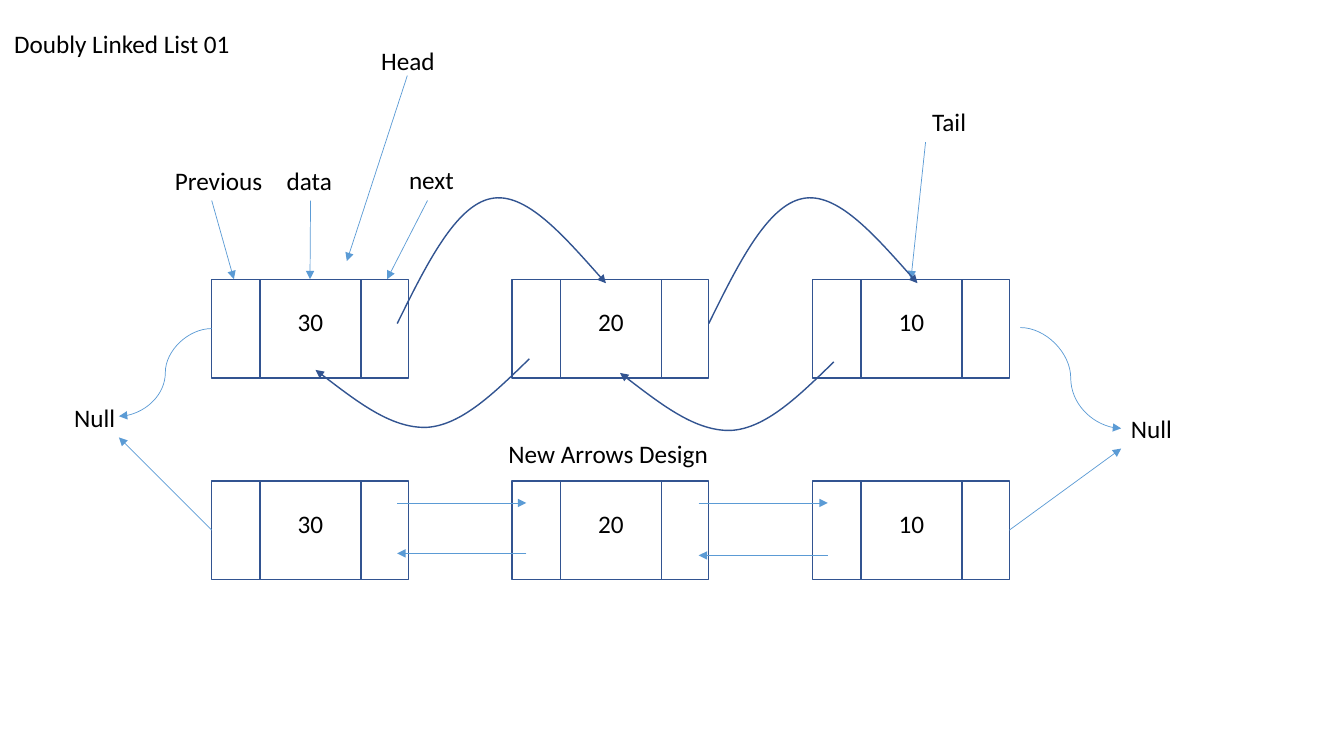
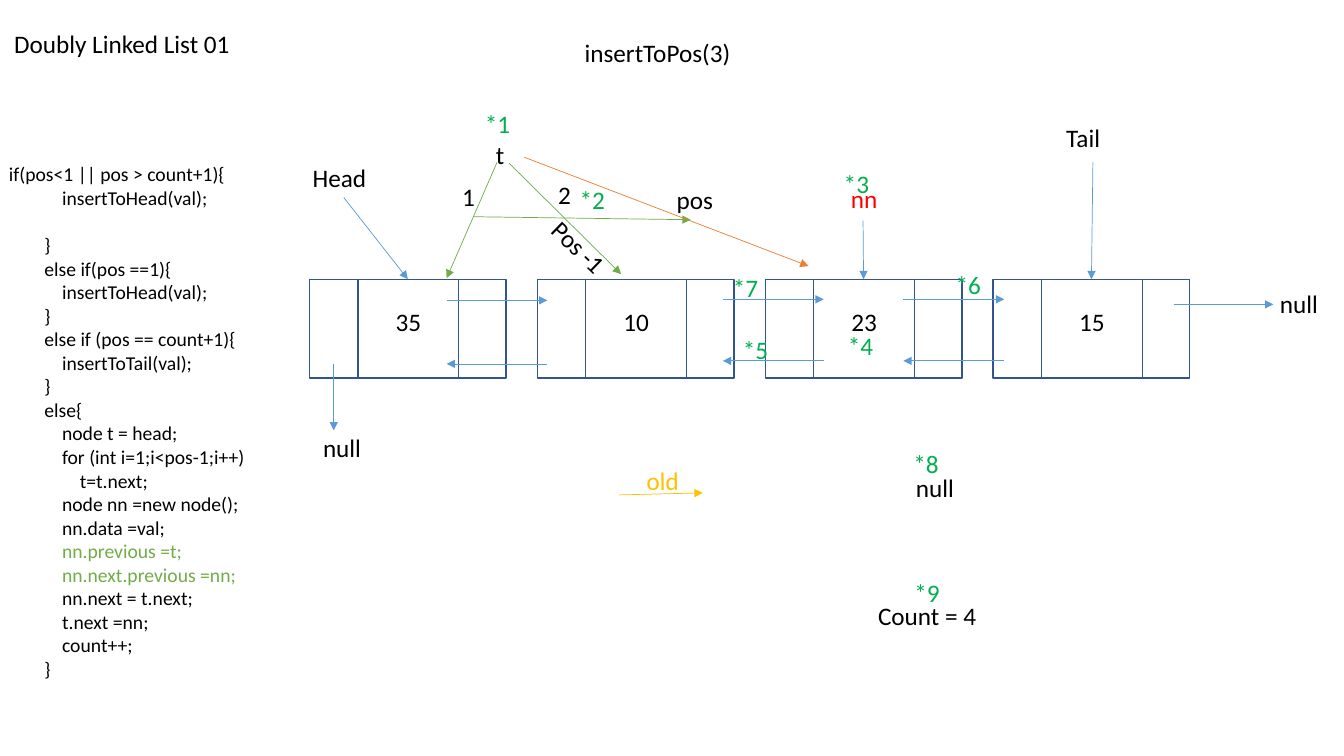
"""Build two slides that explain a doubly linked list."""
from lxml import etree
from pptx import Presentation
from pptx.dml.color import RGBColor
from pptx.enum.shapes import MSO_CONNECTOR, MSO_SHAPE
from pptx.enum.text import MSO_ANCHOR, MSO_AUTO_SIZE, PP_ALIGN
from pptx.oxml.ns import qn
from pptx.util import Inches, Pt

LINE, CURVE, RECT = MSO_CONNECTOR.STRAIGHT, MSO_CONNECTOR.CURVE, MSO_SHAPE.RECTANGLE
LEFT, MID, RIGHT = PP_ALIGN.LEFT, PP_ALIGN.CENTER, PP_ALIGN.RIGHT
TOP_SIDE, LEFT_SIDE, LOW_SIDE, RIGHT_SIDE = range(4)

FONT = "Calibri"
BLACK, NAVY, BLUE, GREEN = "000000", "325491", "5B9BD5", "70AD47"
MARK, RED, GOLD, ORANGE = "00B050", "FF0000", "FFC000", "ED7D31"
TITLE, TITLE_AT = "Doubly Linked List 01", (0.04, 0.23, 2.68, 0.4)
NODE_W, NODE_H, DATA_X, DATA_W = 1.95, 0.98, 0.48, 1
LABEL_H, CODE_SIZE, CODE_GAP = 0.4, 14, 17

NEXT_ARC = [(0, 0), (0.29, -0.59), (0.58, -1.17), (0.93, -1.24),
            (1.27, -1.31), (1.67, -0.85), (2.07, -0.4)]
PREV_ARC = [(0, 0), (-0.34, 0.33), (-0.67, 0.66), (-1.02, 0.68),
            (-1.37, 0.69), (-1.74, 0.4), (-2.12, 0.11)]

DESIGN = {
    "rows": [("a", 2.1, 2.98, 2.77, ("30", "20", "10")),
             ("b", 2.1, 2.98, 4.77, ("30", "20", "10"))],
    "labels": [
        (RIGHT, BLACK, [("next", 3.94, 1.58, 0.66), ("data", 2.59, 1.59, 0.8),
                        ("Previous", 1.5, 1.59, 1.2), ("Head", 2.46, 0.4, 1.95),
                        ("Tail", 9.08, 1.01, 0.6),
                        ("New Arrows Design", 4.81, 4.3, 2.31)]),
        (MID, BLACK, [("Null", 0.51, 3.94, 0.86), ("Null", 10.99, 4.05, 0.86)]),
    ],
    "arrows": [
        (LINE, BLUE, [
            ((4.24, 1.99), (3.84, 2.77)),
            ((3.08, 1.99), ("a30", TOP_SIDE)),
            (("Previous", LOW_SIDE), (2.32, 2.77)),
            ((4.04, 0.75), (3.44, 2.59)),
            ((9.18, 1.41), ("a10", TOP_SIDE)),
            ((3.94, 4.99), (5.22, 4.99)),
            ((6.93, 4.99), (8.21, 4.99)),
            ((8.21, 5.51), (6.93, 5.51)),
            ((5.22, 5.49), (3.94, 5.49)),
            (("b10", RIGHT_SIDE), (11.12, 4.45)),
            (("b30", LEFT_SIDE), (1.18, 4.34))]),
        (CURVE, BLUE, [((10.12, 3.25), (11.12, 4.25)),
                       (("a30", LEFT_SIDE), (1.18, 4.13))]),
    ],
    "arcs": [(NEXT_ARC, 3.94, 3.21), (NEXT_ARC, 7.03, 3.21),
             (PREV_ARC, 8.27, 3.59), (PREV_ARC, 5.25, 3.56)],
    "code": [],
}

INSERT = {
    "rows": [("", 3.07, 2.26, 2.77, ("35", "10", "23", "15"))],
    "labels": [
        (LEFT, BLACK, [("insertToPos(3)", 5.7, 0.32, 1.65),
                       ("Count = 4", 8.61, 5.91, 1.51)]),
        (RIGHT, BLACK, [("Tail", 10.41, 1.16, 0.6), ("Head", 2.03, 1.56, 1.7),
                        ("null", 11.94, 2.81, 1.23), ("null", 2.85, 4.24, 0.83),
                        ("null", 8.33, 4.64, 1.23), ("t", 4.31, 1.33, 0.79),
                        ("1", 4.58, 1.75, 0.23), ("2", 5.49, 1.73, 0.27),
                        ("pos", 6.53, 1.78, 0.64),
                        ("Pos -1", 5.24, 2.21, 0.92, 44.1)]),
        (RIGHT, GOLD, [("old", 6.29, 4.57, 0.54, -0.8)]),
        (RIGHT, RED, [("nn", 7.93, 1.77, 0.87)]),
        (LEFT, MARK, [("*1", 4.71, 1.03, 0.5), ("*2", 5.65, 1.78, 0.5),
                      ("*3", 8.27, 1.62, 0.5), ("*4", 8.31, 3.23, 0.62),
                      ("*5", 7.27, 3.27, 0.5), ("*6", 9.38, 2.62, 0.5),
                      ("*7", 7.17, 2.65, 0.5), ("*8", 8.96, 4.4, 0.5),
                      ("*9", 8.97, 5.68, 0.5)]),
    ],
    "arrows": [
        (LINE, BLUE, [
            ((3.41, 1.96), ("35", TOP_SIDE)),
            ((8.56, 2.19), ("23", TOP_SIDE)),
            ((10.84, 1.61), ("15", TOP_SIDE)),
            ((4.43, 2.98), (5.43, 2.98)),
            ((5.43, 3.61), (4.43, 3.61)),
            ((7.17, 2.97), (8.17, 2.97)),
            ((8.17, 3.58), (7.17, 3.58)),
            ((8.96, 2.97), (9.96, 2.97)),
            ((9.96, 3.58), (8.96, 3.58)),
            ((3.31, 3.61), (3.31, 4.27)),
            ((11.64, 3.02), (12.63, 3.02))]),
        (LINE, GREEN, [((4.93, 1.61), (4.43, 2.76)),
                       ((5.05, 1.62), (6.16, 2.72)),
                       ((4.7, 2.15), ("pos", LOW_SIDE))]),
        (LINE, ORANGE, [((5.2, 1.56), (8.02, 2.64))]),
        (LINE, GOLD, [((6.14, 4.91), (6.97, 4.89))]),
    ],
    "arcs": [],
    "code": [
        "if(pos<1 || pos > count+1){",
        "            insertToHead(val);",
        "",
        "        }",
        "        else if(pos ==1){",
        "            insertToHead(val);",
        "        }",
        "        else if (pos == count+1){",
        "            insertToTail(val);",
        "        }",
        "        else{",
        "            node t = head;",
        "            for (int i=1;i<pos-1;i++)",
        "                t=t.next;",
        "            node nn =new node();",
        "            nn.data =val;",
        "            nn.previous =t;",
        "            nn.next.previous =nn;",
        "            nn.next = t.next;",
        "            t.next =nn;",
        "            count++;",
        "        }",
    ],
}
CODE_AT, CODE_LIT = (-0.01, 1.56, 3.06, 5.28), "previous ="


def rgb(hue):
    """Turn a hex string into a colour."""
    return RGBColor.from_string(hue)


def inch(*nums):
    """Turn numbers into lengths in inches."""
    return [Inches(n) for n in nums]


def write(para, text, hue=BLACK, size=18, align=LEFT):
    """Add one run to a paragraph."""
    para.alignment = align
    run = para.add_run()
    run.text = text
    run.font.name, run.font.size = FONT, Pt(size)
    run.font.color.rgb = rgb(hue)


def stroke(shape, hue, width, head=False):
    """Give a shape its line, with an arrowhead if asked."""
    shape.line.color.rgb = rgb(hue)
    shape.line.width = Pt(width)
    if head:
        tail = etree.SubElement(shape.line._get_or_add_ln(), qn("a:tailEnd"))
        tail.set("type", "triangle")


def box(group, x, y, w):
    """Draw one hollow box of a node."""
    shape = group.shapes.add_shape(RECT, *inch(x, y, w, NODE_H))
    shape.shadow.inherit = False
    shape.fill.background()
    stroke(shape, NAVY, 1)
    return shape


def node(slide, x, y, value):
    """Draw a node and return its outer box."""
    group = slide.shapes.add_group_shape()
    outer = box(group, x, y, NODE_W)
    frame = box(group, x + DATA_X, y, DATA_W).text_frame
    frame.vertical_anchor = MSO_ANCHOR.MIDDLE
    frame.margin_top, frame.margin_bottom = inch(0.05, 0.19)
    write(frame.paragraphs[0], value, align=MID)
    return outer


def label(slide, align, hue, text, x, y, w, turn=0):
    """Place a one-line label."""
    shape = slide.shapes.add_textbox(*inch(x, y, w, LABEL_H))
    shape.rotation = turn
    frame = shape.text_frame
    frame.word_wrap = True
    if align == RIGHT:
        frame.margin_left = 0
    write(frame.paragraphs[0], text, hue, align=align)
    return shape


def spot(end, parts):
    """Find the point of an arrow's end."""
    if not isinstance(end[0], str):
        return inch(*end)
    part, side = parts[end[0]], end[1]
    across, down = [(1, 0), (0, 1), (1, 2), (2, 1)][side]
    return [part.left + part.width * across // 2, part.top + part.height * down // 2]


def arrow(slide, parts, kind, hue, start, end):
    """Draw an arrow and join the ends that name a part."""
    link = slide.shapes.add_connector(kind, *spot(start, parts), *spot(end, parts))
    for place, join in ((start, link.begin_connect), (end, link.end_connect)):
        if isinstance(place[0], str):
            join(parts[place[0]], place[1])
    stroke(link, hue, 0.5, True)
    etree.SubElement(link._element.spPr, qn("a:effectLst"))


def arc(slide, curve, x, y):
    """Draw a chain of cubic curves that ends in an arrowhead."""
    first, *rest = [tuple(inch(x + dx, y + dy)) for dx, dy in curve]
    form = slide.shapes.build_freeform(*first)
    form.add_line_segments(rest, close=False)
    shape = form.convert_to_shape()
    steps = list(shape._element.iter(qn("a:lnTo")))
    track = steps[0].getparent()
    for i in range(0, len(steps), 3):
        bend = etree.SubElement(track, qn("a:cubicBezTo"))
        for step in steps[i:i + 3]:
            bend.append(step[0])
            track.remove(step)
    shape.shadow.inherit = False
    shape.fill.background()
    stroke(shape, NAVY, 1, True)


def listing(slide, lines):
    """Write the code, where an empty line is a gap."""
    frame = slide.shapes.add_textbox(*inch(*CODE_AT)).text_frame
    frame.word_wrap = True
    para, gap = frame.paragraphs[0], 0
    for i, line in enumerate(lines):
        if not line:
            gap = CODE_GAP
            continue
        if i:
            para = frame.add_paragraph()
        if gap:
            para.space_before, gap = Pt(gap), 0
        write(para, line, GREEN if CODE_LIT in line else BLACK, CODE_SIZE)


def head(slide):
    """Move and fill the title."""
    title = slide.shapes.title
    title.left, title.top, title.width, title.height = inch(*TITLE_AT)
    frame = title.text_frame
    frame.word_wrap, frame.auto_size = True, MSO_AUTO_SIZE.NONE
    frame.vertical_anchor = MSO_ANCHOR.TOP
    write(frame.paragraphs[0], TITLE)


def draw(deck, plan):
    """Build one slide from its plan."""
    slide = deck.slides.add_slide(deck.slide_layouts[5])
    head(slide)
    parts = {}
    for key, x, pitch, y, values in plan["rows"]:
        for i, value in enumerate(values):
            parts[key + value] = node(slide, x + i * pitch, y, value)
    for align, hue, items in plan["labels"]:
        for item in items:
            parts.setdefault(item[0], label(slide, align, hue, *item))
    for kind, hue, ends in plan["arrows"]:
        for start, end in ends:
            arrow(slide, parts, kind, hue, start, end)
    for item in plan["arcs"]:
        arc(slide, *item)
    if plan["code"]:
        listing(slide, plan["code"])


def main():
    """Build and save the deck."""
    deck = Presentation()
    deck.slide_width, deck.slide_height = inch(13.33, 7.5)
    for plan in (DESIGN, INSERT):
        draw(deck, plan)
    deck.save("out.pptx")


if __name__ == "__main__":
    main()
